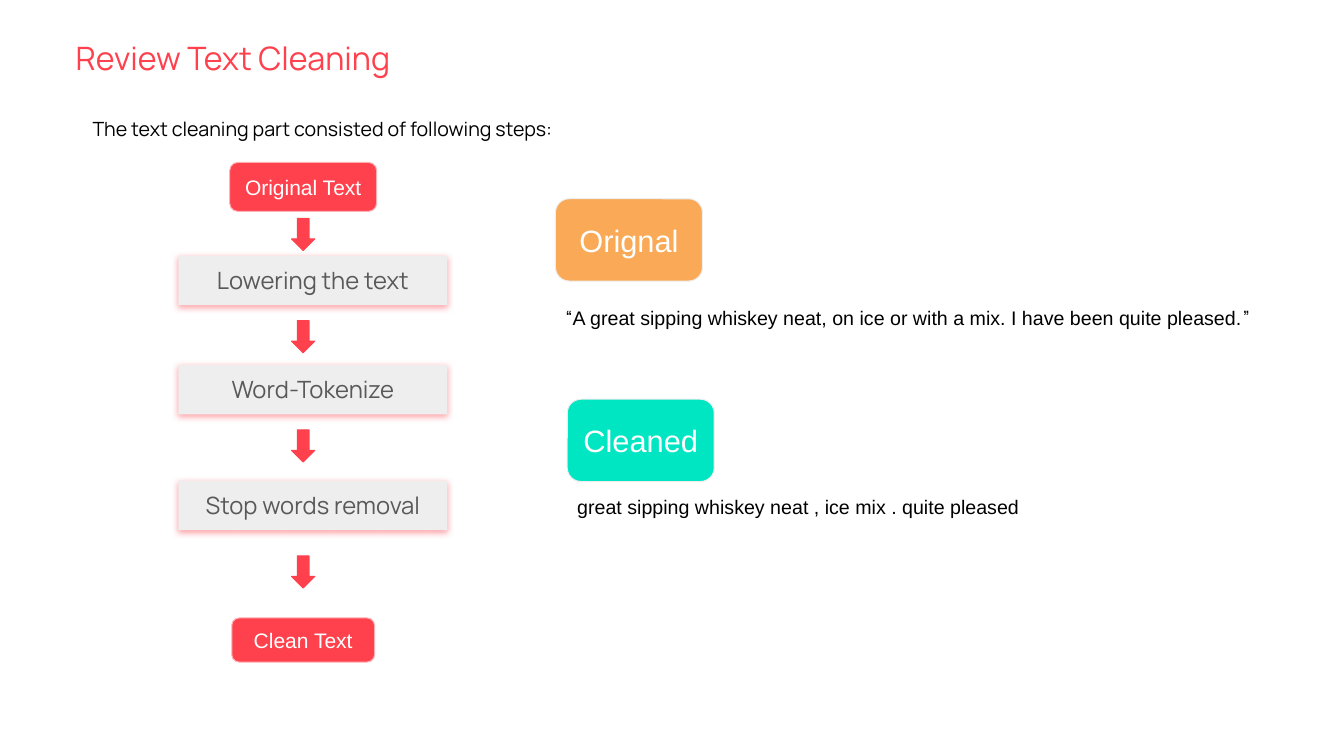
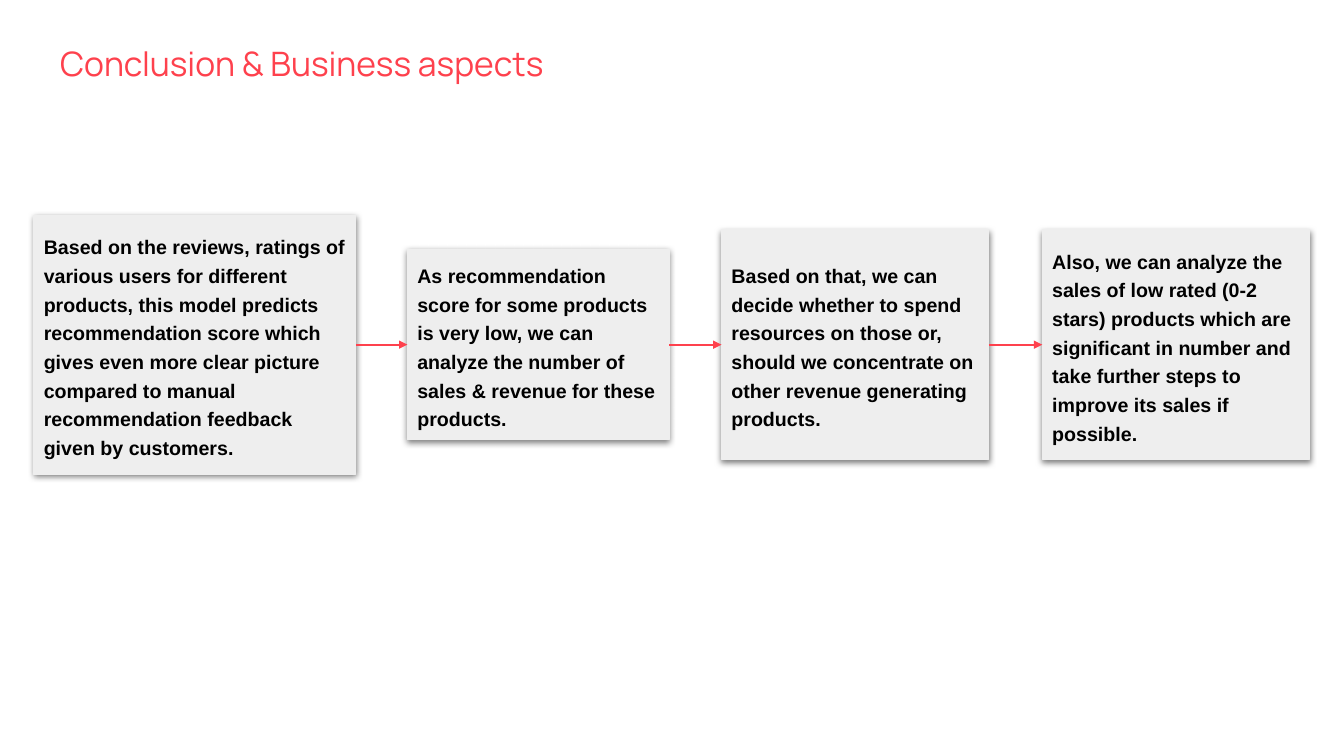
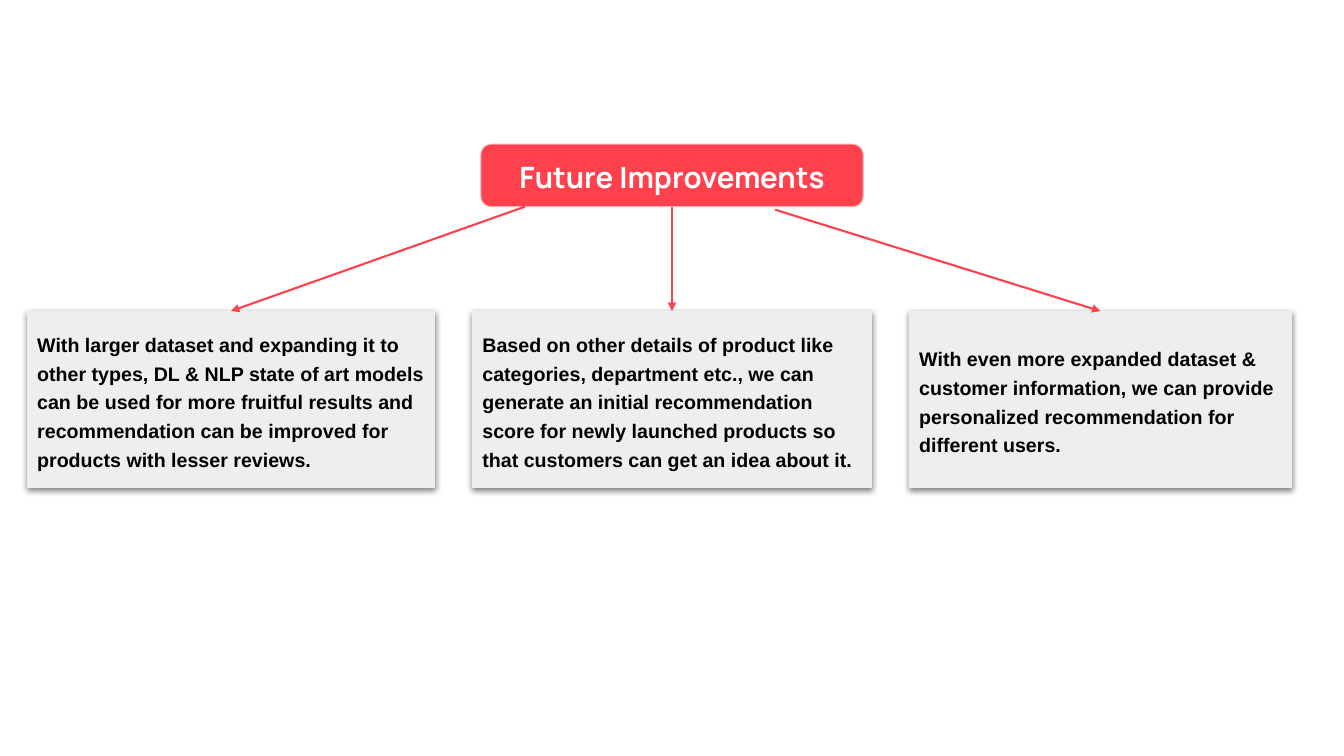
from lxml import etree
from pptx import Presentation
from pptx.dml.color import RGBColor
from pptx.enum.shapes import MSO_CONNECTOR, MSO_SHAPE
from pptx.enum.text import MSO_ANCHOR, PP_ALIGN
from pptx.oxml.ns import qn
from pptx.util import Pt

RECT, ROUND = MSO_SHAPE.RECTANGLE, MSO_SHAPE.ROUNDED_RECTANGLE
DOWN = MSO_SHAPE.DOWN_ARROW
STRAIGHT = MSO_CONNECTOR.STRAIGHT
TOP, MIDDLE = MSO_ANCHOR.TOP, MSO_ANCHOR.MIDDLE
LEFT, CENTER = PP_ALIGN.LEFT, PP_ALIGN.CENTER

RED, PINK, GREY, DARK = "FE414D", "FEB1B5", "EEEEEE", "595959"
ORANGE, TEAL, BLACK, WHITE = "FAA956", "00E6C3", "000000", "FFFFFF"
HEAD, BODY = "Manrope", "Arial"
PAD = 7.2


def rgb(code):
    return RGBColor.from_string(code)


class Deck:
    def __init__(self):
        self.file = Presentation()
        self.file.slide_width, self.file.slide_height = Pt(960), Pt(540)
        self.slide = None

    def page(self):
        self.slide = self.file.slides.add_slide(self.file.slide_layouts[6])

    def letter(self, shape, text, size, font, color, bold=False, align=LEFT,
               anchor=TOP, pad=(PAD, PAD, PAD, PAD), space=None):
        frame = shape.text_frame
        frame.word_wrap = True
        frame.vertical_anchor = anchor
        (frame.margin_left, frame.margin_top,
         frame.margin_right, frame.margin_bottom) = map(Pt, pad)
        frame.text = text
        para = frame.paragraphs[0]
        para.alignment = align
        if space:
            para.line_spacing = space
        for run in para.runs:
            run.font.size, run.font.name, run.font.bold = Pt(size), font, bold
            run.font.color.rgb = rgb(color)

    def text(self, x, y, w, h, text, size, font, color=BLACK, **style):
        box = self.slide.shapes.add_textbox(Pt(x), Pt(y), Pt(w), Pt(h))
        self.letter(box, text, size, font, color, **style)
        return box

    def title(self, x, y, text, size):
        self.text(x, y, 852, 50, text, size, HEAD, RED,
                  pad=(0, 0, 0, 0), space=1.1)

    def shape(self, kind, x, y, w, h, fill, line=None):
        item = self.slide.shapes.add_shape(kind, Pt(x), Pt(y), Pt(w), Pt(h))
        item.shadow.inherit = False
        item.fill.solid()
        item.fill.fore_color.rgb = rgb(fill)
        if line:
            item.line.color.rgb = rgb(line)
            item.line.width = Pt(0.75)
        else:
            item.line.fill.background()
        return item

    def shade(self, item, color):
        effect = item._element.spPr.find(qn("a:effectLst"))
        outer = etree.SubElement(
            effect, qn("a:outerShdw"), blurRad=str(Pt(4.5)),
            dist=str(Pt(1.5)), dir="5400000", algn="bl", rotWithShape="0")
        tint = etree.SubElement(outer, qn("a:srgbClr"), val=color)
        etree.SubElement(tint, qn("a:alpha"), val="50000")

    def label(self, x, y, w, h, text, size, fill, line, font=BODY,
              bold=False, pad=(PAD, 0, PAD, 0)):
        item = self.shape(ROUND, x, y, w, h, fill, line)
        self.letter(item, text, size, font, WHITE, bold=bold, align=CENTER,
                    anchor=MIDDLE, pad=pad)
        return item

    def step(self, x, y, w, h, text):
        item = self.shape(RECT, x, y, w, h, GREY)
        self.shade(item, RED)
        self.letter(item, text, 17, HEAD, DARK, align=CENTER)

    def card(self, x, y, w, h, text):
        item = self.shape(RECT, x, y, w, h, GREY, GREY)
        self.shade(item, BLACK)
        self.letter(item, text, 14, BODY, BLACK, bold=True, anchor=MIDDLE,
                    space=1.22)
        return item

    def arrow(self, start, end):
        """Each end is a (shape, side) pair or, for the start, a free point."""
        wire = self.slide.shapes.add_connector(STRAIGHT, 0, 0, 0, 0)
        if isinstance(start[0], (int, float)):
            wire.begin_x, wire.begin_y = Pt(start[0]), Pt(start[1])
        else:
            wire.begin_connect(*start)
        wire.end_connect(*end)
        wire.line.color.rgb = rgb(RED)
        wire.line.width = Pt(1.5)
        props = wire._element.spPr
        etree.SubElement(props.find(qn("a:ln")), qn("a:tailEnd"),
                         type="triangle")
        etree.SubElement(props, qn("a:effectLst"))


def cleaning(deck):
    deck.page()
    deck.title(54, 25, "Review Text Cleaning", 23)
    deck.text(59, 76.3, 862, 32,
              "The text cleaning part consisted of following steps:", 14, HEAD)

    # Flow of steps
    axis = 216.6
    for y, w, h, text in ((116, 105, 35, "Original Text"),
                          (441.4, 102, 31.5, "Clean Text")):
        deck.label(axis - w / 2, y, w, h, text, 15, RED, PINK)
    for y, text in ((182.8, "Lowering the text"), (260.8, "Word-Tokenize"),
                    (343.6, "Stop words removal")):
        deck.step(127.4, y, 192.2, 35.2, text)
    for y in (156, 229, 307, 397):
        deck.shape(DOWN, axis - 8.3, y, 16.6, 23, RED, RED)

    # Example before and after
    for x, y, text, fill in ((396.8, 142, "Orignal", ORANGE),
                             (405.2, 285.2, "Cleaned", TEAL)):
        deck.label(x, y, 105, 58.8, text, 22, fill, GREY, pad=(PAD,) * 4)
    quote = deck.text(396.8, 211, 555, 32, "“", 14, HEAD)
    para = quote.text_frame.paragraphs[0]
    for text, font in (("A great sipping whiskey neat, on ice or with a mix. "
                        "I have been quite pleased.", BODY), ("”", HEAD)):
        run = para.add_run()
        run.text = text
        run.font.size, run.font.name = Pt(14), font
        run.font.color.rgb = rgb(BLACK)
    deck.text(405.2, 346.3, 538, 32,
              "great sipping whiskey neat , ice mix . quite pleased", 14, BODY)


def conclusion(deck):
    deck.page()
    deck.title(43, 28, "Conclusion & Business aspects", 24)

    # Cards centred on one line, joined in order
    last = None
    for x, w, h, text in (
        (24.2, 230, 185,
         "Based on the reviews, ratings of various users for different "
         "products, this model predicts recommendation score which gives even "
         "more clear picture compared to manual recommendation feedback given "
         "by customers."),
        (291, 187, 136,
         "As recommendation score for some products is very low, we can "
         "analyze the number of sales & revenue for these products."),
        (515.4, 191, 164,
         "Based on that, we can decide whether to spend resources on those "
         "or, should we concentrate on other revenue generating products."),
        (744.5, 191, 164,
         "Also, we can analyze the sales of low rated (0-2 stars) products "
         "which are significant in number and take further steps to improve "
         "its sales if possible."),
    ):
        card = deck.card(x, 246.2 - h / 2, w, h, text)
        if last:
            deck.arrow((last, 3), (card, 1))
        last = card


def future(deck):
    deck.page()
    banner = deck.label(343.5, 103, 273, 44.6, "Future Improvements", 21, RED,
                        PINK, HEAD, True, (PAD, 9.4, PAD, PAD))

    # Cards with equal gaps, each fed from the banner
    x, gap = 19.5, 27
    for w, start, text in (
        (291, (375, 147.6),
         "With larger dataset and expanding it to other types, DL & NLP state "
         "of art models can be used for more fruitful results and "
         "recommendation can be improved for products with lesser reviews."),
        (285, (banner, 2),
         "Based on other details of product like categories, department etc., "
         "we can generate an initial recommendation score for newly launched "
         "products so that customers can get an idea about it."),
        (273, (553.7, 149.8),
         "With even more expanded dataset & customer information, we can "
         "provide personalized recommendation for different users."),
    ):
        card = deck.card(x, 222.2, w, 126, text)
        deck.arrow(start, (card, 0))
        x += w + gap


def main():
    deck = Deck()
    cleaning(deck)
    conclusion(deck)
    future(deck)
    deck.file.save("out.pptx")


if __name__ == "__main__":
    main()
